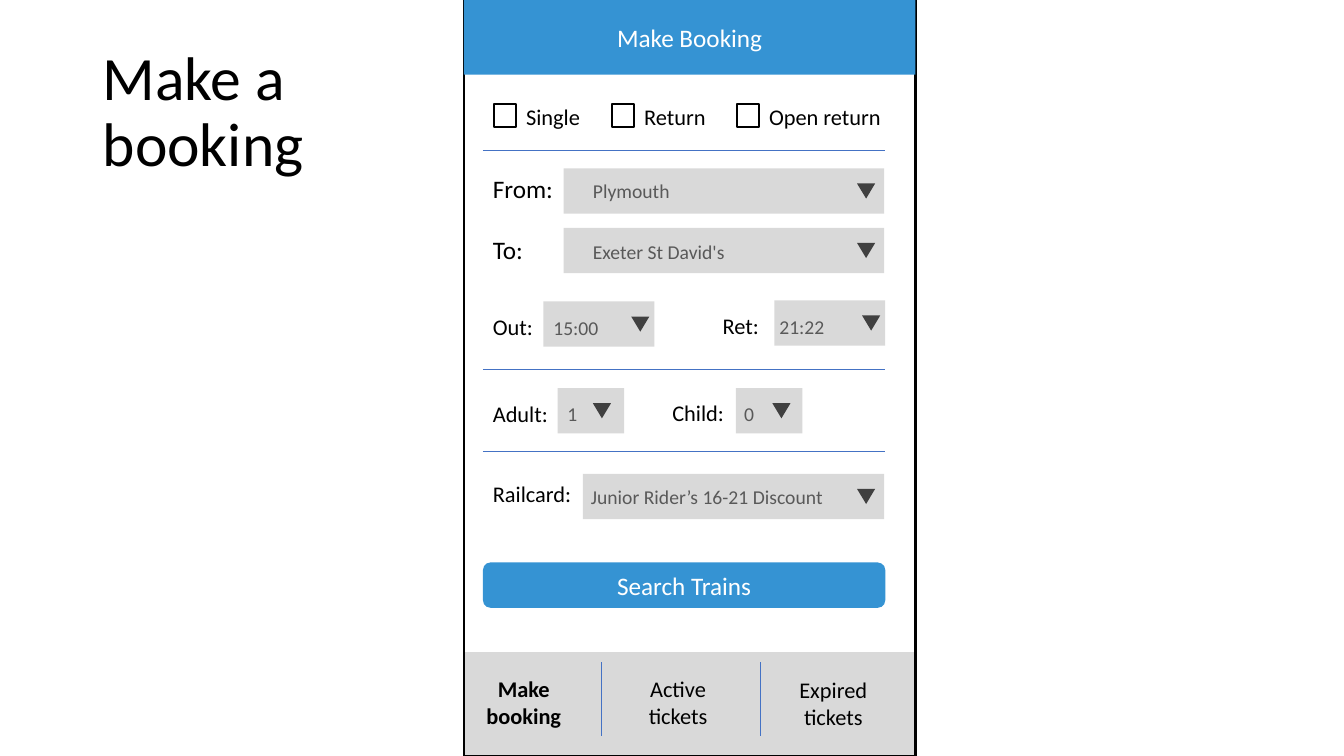
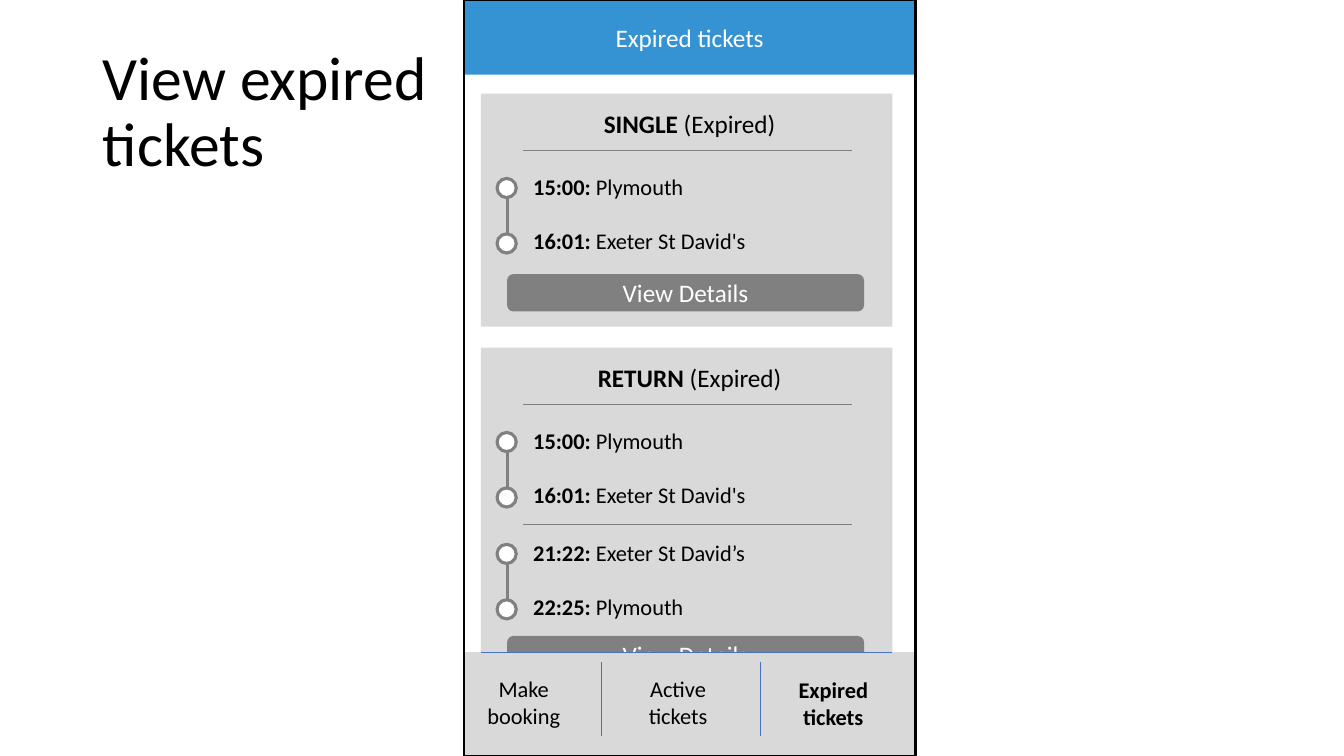
from dataclasses import dataclass
from typing import Any, NamedTuple

from lxml.etree import SubElement
from pptx import Presentation
from pptx.dml.color import RGBColor
from pptx.enum.shapes import MSO_CONNECTOR, MSO_SHAPE
from pptx.enum.text import MSO_ANCHOR, PP_ALIGN
from pptx.oxml.ns import qn
from pptx.util import Inches, Pt

# Shared look
FONT = "Calibri"
BLACK, WHITE, BLUE, RULE_BLUE = "000000", "FFFFFF", "3593D3", "4472C4"
PALE, GREY, VALUE_GREY, ARROW_GREY = "D9D9D9", "808080", "595959", "404040"
PHONE_LEFT, PHONE_WIDTH = 4.6, 4.48
FIELD_HEIGHT = 0.45


class Box(NamedTuple):
    left: float
    top: float
    width: float
    height: float


class Span(NamedTuple):
    text: str
    size: float = 16
    color: str = BLACK
    bold: bool = False


@dataclass
class Field:
    label: str
    label_left: float
    label_top: float
    value: str
    box: Box
    arrow_left: float
    inset: float
    drop: float = 0
    label_size: int = 16


@dataclass
class Leg:
    top: float
    stops: tuple[tuple[str, str], tuple[str, str]]


@dataclass
class Ticket:
    kind: str
    top: float
    height: float
    button_top: float
    legs: list[Leg]


# Drawing helpers
def rgb(color: str) -> RGBColor:
    return RGBColor.from_string(color)


def apply_format(target: Any, values: dict[str, Any]) -> None:
    for name, value in values.items():
        setattr(target, name, value)


def write(shape: Any, paragraphs: list[list[Span]], frame_format: dict[str, Any] | None = None,
          paragraph_format: dict[str, Any] | None = None, gap: float = 0) -> None:
    frame = shape.text_frame
    apply_format(frame, {"word_wrap": True, **(frame_format or {})})
    for index, spans in enumerate(paragraphs):
        paragraph = frame.add_paragraph() if index else frame.paragraphs[0]
        apply_format(paragraph, {"alignment": PP_ALIGN.LEFT, "space_before": Pt(gap if index else 0),
                                 **(paragraph_format or {})})
        for span in spans:
            run = paragraph.add_run()
            run.text = span.text
            apply_format(run.font, {"name": FONT, "size": Pt(span.size), "bold": span.bold})
            run.font.color.rgb = rgb(span.color)


def add_text(slide: Any, box: Box, spans: list[Span], **formats: Any) -> None:
    write(slide.shapes.add_textbox(*map(Inches, box)), [spans], **formats)


def add_block(slide: Any, kind: MSO_SHAPE, box: Box, fill: str | None,
              line: str | None = None, line_width: float = 1.5) -> Any:
    shape = slide.shapes.add_shape(kind, *map(Inches, box))
    shape.shadow.inherit = False
    if fill:
        shape.fill.solid()
        shape.fill.fore_color.rgb = rgb(fill)
    else:
        shape.fill.background()
    if line:
        shape.line.color.rgb = rgb(line)
        shape.line.width = Pt(line_width)
    else:
        shape.line.fill.background()
    return shape


def add_rule(slide: Any, start: tuple[float, float], end: tuple[float, float],
             color: str = RULE_BLUE, width: float = 0.5) -> None:
    rule = slide.shapes.add_connector(MSO_CONNECTOR.STRAIGHT, *map(Inches, (*start, *end)))
    rule.line.color.rgb = rgb(color)
    rule.line.width = Pt(width)
    SubElement(rule._element.spPr, qn("a:effectLst"))


def add_banner(slide: Any, kind: MSO_SHAPE, box: Box, fill: str, text: str) -> None:
    write(add_block(slide, kind, box, fill), [[Span(text, 18, WHITE)]],
          {"vertical_anchor": MSO_ANCHOR.MIDDLE, "margin_top": 0, "margin_bottom": 0},
          {"alignment": PP_ALIGN.CENTER})


# Parts both screens share
def add_title(slide: Any, text: str, width: float) -> None:
    add_text(slide, Box(0.92, 0.4, width, 1.45), [Span(text, 44)],
             frame_format={"vertical_anchor": MSO_ANCHOR.MIDDLE},
             paragraph_format={"line_spacing": 0.9})


def add_phone_frame(slide: Any) -> None:
    add_block(slide, MSO_SHAPE.RECTANGLE, Box(PHONE_LEFT, 0, PHONE_WIDTH, 7.5), None, BLACK)


def add_header(slide: Any, text: str) -> None:
    add_banner(slide, MSO_SHAPE.RECTANGLE, Box(PHONE_LEFT, 0, PHONE_WIDTH, 0.74), BLUE, text)


def add_navigation(slide: Any, active: str) -> None:
    add_block(slide, MSO_SHAPE.RECTANGLE, Box(PHONE_LEFT, 6.47, PHONE_WIDTH, 1.04), PALE)
    tabs = [("Make booking", 4.61, 6.65), ("Active tickets", 6.14, 6.65), ("Expired tickets", 7.68, 6.66)]
    for text, left, top in tabs:
        add_text(slide, Box(left, top, 1.17, 0.64), [Span(text, bold=text == active)],
                 paragraph_format={"alignment": PP_ALIGN.CENTER})
    for x in (5.96, 7.54):
        add_rule(slide, (x, 6.57), (x, 7.3))


# Booking form parts
def add_checkbox(slide: Any, text: str, left: float, label_width: float) -> None:
    add_block(slide, MSO_SHAPE.RECTANGLE, Box(left, 1.03, 0.22, 0.23), WHITE, BLACK)
    add_text(slide, Box(left + 0.22, 0.97, label_width, 0.37), [Span(text)],
             frame_format={"word_wrap": False})


def add_field(slide: Any, field: Field) -> None:
    add_text(slide, Box(field.label_left, field.label_top, 1.1, 0.37),
             [Span(field.label, field.label_size)])
    write(add_block(slide, MSO_SHAPE.RECTANGLE, field.box, PALE), [[Span(field.value, 14, VALUE_GREY)]],
          {"vertical_anchor": MSO_ANCHOR.MIDDLE, "margin_left": Inches(field.inset), "margin_right": 0,
           "margin_top": Inches(2 * field.drop), "margin_bottom": 0})
    arrow = add_block(slide, MSO_SHAPE.ISOSCELES_TRIANGLE,
                      Box(field.arrow_left, field.box.top + 0.15, 0.18, 0.15), ARROW_GREY)
    arrow.rotation = 180


# Ticket parts
def add_leg(slide: Any, leg: Leg) -> None:
    text_box = slide.shapes.add_textbox(*map(Inches, (5.19, leg.top, 2.71, 0.91)))
    write(text_box, [[Span(time, bold=True), Span(f" {place}")] for time, place in leg.stops], gap=19)
    first, second = leg.top + 0.1, leg.top + 0.65
    for top in (first, second):
        add_block(slide, MSO_SHAPE.OVAL, Box(4.93, top, 0.19, 0.19), WHITE, GREY, 2.25)
    add_rule(slide, (5.03, first + 0.19), (5.03, second), GREY, 2.25)


def add_ticket(slide: Any, ticket: Ticket) -> None:
    add_block(slide, MSO_SHAPE.RECTANGLE, Box(4.77, ticket.top, 4.08, ticket.height), PALE)
    add_text(slide, Box(5.82, ticket.top + 0.1, 2.04, 0.4),
             [Span(f"{ticket.kind} ", 18, bold=True), Span("(Expired)", 18)],
             frame_format={"word_wrap": False}, paragraph_format={"alignment": PP_ALIGN.CENTER})
    for index, leg in enumerate(ticket.legs):
        rule_top = leg.top - 0.1 if index else ticket.top + 0.56
        add_rule(slide, (5.19, rule_top), (8.45, rule_top), GREY)
        add_leg(slide, leg)
    add_banner(slide, MSO_SHAPE.ROUNDED_RECTANGLE, Box(5.03, ticket.button_top, 3.54, 0.37),
               GREY, "View Details")


# Content
CHECKBOXES = [("Single", 4.9, 0.74), ("Return", 6.07, 0.82), ("Open return", 7.31, 1.33)]
FIELDS = [
    Field("From:", 4.79, 1.67, "Plymouth", Box(5.59, 1.67, 3.18, FIELD_HEIGHT), 8.5, 0.29, label_size=18),
    Field("To:", 4.79, 2.28, "Exeter St David's", Box(5.59, 2.26, 3.18, FIELD_HEIGHT), 8.5, 0.29, 0.01, 18),
    Field("Out:", 4.79, 3.06, "15:00", Box(5.39, 2.99, 1.1, FIELD_HEIGHT), 6.26, 0.1, 0.04),
    Field("Ret:", 7.07, 3.05, "21:22", Box(7.68, 2.98, 1.1, FIELD_HEIGHT), 8.55, 0.05, 0.04),
    Field("Adult:", 4.79, 3.92, "1", Box(5.53, 3.85, 0.66, FIELD_HEIGHT), 5.88, 0.1, 0.03),
    Field("Child:", 6.57, 3.91, "0", Box(7.3, 3.85, 0.66, FIELD_HEIGHT), 7.66, 0.08, 0.03),
    Field("Railcard:", 4.79, 4.71, "Junior Rider’s 16-21 Discount",
          Box(5.78, 4.7, 2.99, FIELD_HEIGHT), 8.5, 0.08),
]
OUTWARD = (("15:00:", "Plymouth"), ("16:01:", "Exeter St David's"))
HOMEWARD = (("21:22:", "Exeter St David’s"), ("22:25:", "Plymouth"))
TICKETS = [
    Ticket("SINGLE", 0.93, 2.31, 2.72, [Leg(1.67, OUTWARD)]),
    Ticket("RETURN", 3.45, 3.3, 6.31, [Leg(4.19, OUTWARD), Leg(5.3, HOMEWARD)]),
]


# Slides
def build_booking(slide: Any) -> None:
    add_title(slide, "Make a booking", 2.71)
    add_navigation(slide, "Make booking")
    add_phone_frame(slide)
    add_header(slide, "Make Booking")
    for text, left, label_width in CHECKBOXES:
        add_checkbox(slide, text, left, label_width)
    for field in FIELDS:
        add_field(slide, field)
    for y in (1.49, 3.66, 4.48):
        add_rule(slide, (4.79, y), (8.78, y))
    add_banner(slide, MSO_SHAPE.ROUNDED_RECTANGLE, Box(4.79, 5.58, 3.99, FIELD_HEIGHT), BLUE, "Search Trains")


def build_expired(slide: Any) -> None:
    add_title(slide, "View expired tickets", 3.62)
    add_header(slide, "Expired tickets")
    for ticket in TICKETS:
        add_ticket(slide, ticket)
    add_navigation(slide, "Expired tickets")
    add_rule(slide, (4.77, 6.47), (8.85, 6.47))
    add_phone_frame(slide)


presentation = Presentation()
apply_format(presentation, {"slide_width": Inches(13.33), "slide_height": Inches(7.5)})
for build in (build_booking, build_expired):
    build(presentation.slides.add_slide(presentation.slide_layouts[6]))
presentation.save("out.pptx")
